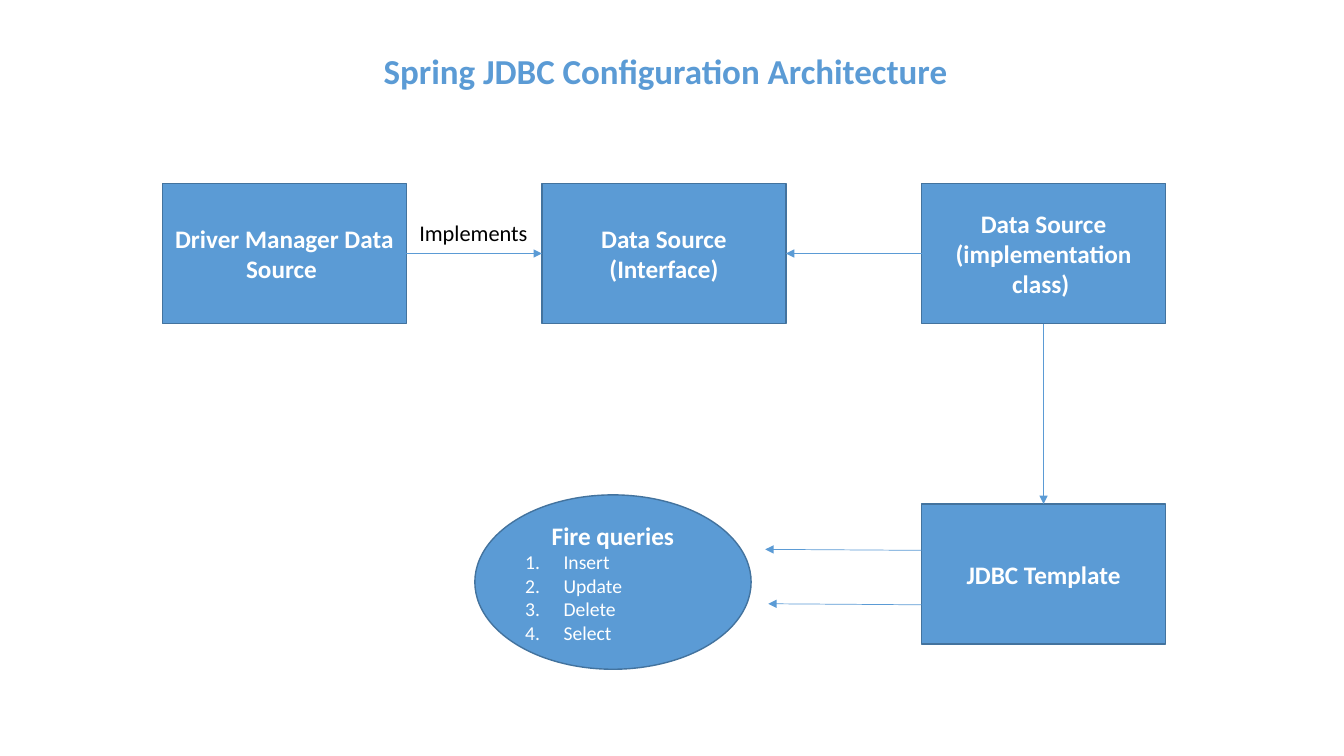
from lxml import etree
from pptx import Presentation
from pptx.dml.color import RGBColor
from pptx.enum import shapes, text
from pptx.oxml import ns
from pptx.util import Inches, Pt

BLUE = RGBColor(0x5B, 0x9B, 0xD5)
OUTLINE = RGBColor(0x43, 0x73, 0x9E)
WHITE = RGBColor(0xFF, 0xFF, 0xFF)
BLACK = RGBColor(0, 0, 0)

BOX_WIDTH, BOX_HEIGHT = 2.42, 1.39
COLUMN_STEP = 3.765


def format_paragraph(paragraph, size, color, bold=False, align=text.PP_ALIGN.CENTER):
    """Set the alignment and the font of every run."""
    paragraph.alignment = align
    for run in paragraph.runs:
        font = run.font
        font.name, font.size, font.bold = "Calibri", Pt(size), bold
        font.color.rgb = color


def add_label(slide, box, words, size, color, bold=False, wrap=True,
              align=text.PP_ALIGN.CENTER):
    """Add a text box and return its paragraph."""
    frame = slide.shapes.add_textbox(*map(Inches, box)).text_frame
    frame.word_wrap = wrap
    frame.vertical_anchor = text.MSO_ANCHOR.MIDDLE
    frame.text = words
    format_paragraph(frame.paragraphs[0], size, color, bold, align)
    return frame.paragraphs[0]


def add_node(slide, kind, box, words):
    """Add a filled, outlined shape with a bold caption."""
    shape = slide.shapes.add_shape(kind, *map(Inches, box))
    shape.shadow.inherit = False
    shape.fill.solid()
    shape.fill.fore_color.rgb = BLUE
    shape.line.color.rgb = OUTLINE
    shape.line.width = Pt(1)
    frame = shape.text_frame
    frame.word_wrap = True
    frame.vertical_anchor = text.MSO_ANCHOR.MIDDLE
    frame.text = words
    format_paragraph(frame.paragraphs[0], 18, WHITE, bold=True)
    return shape


def add_arrow(slide, start, end):
    """Add a thin straight arrow pointing at end."""
    connector = slide.shapes.add_connector(
        shapes.MSO_CONNECTOR.STRAIGHT, *map(Inches, (*start, *end)))
    connector.line.color.rgb = BLUE
    connector.line.width = Pt(0.5)
    line = connector.line._get_or_add_ln()
    etree.SubElement(line, ns.qn("a:tailEnd"), type="triangle")
    etree.SubElement(connector._element.spPr, ns.qn("a:effectLst"))


def add_title(slide, box):
    """Add the slide heading."""
    heading = add_label(slide, box, "Spring JDBC Configuration Architecture", 25, BLUE, True)
    heading.line_spacing = 0.9


def add_sources(slide, left, top):
    """Add the row of data sources, joined by arrows to the interface."""
    captions = ("Driver Manager Data Source ", "Data Source (Interface)",
                "Data Source (implementation class) ")
    lefts = [left + column * COLUMN_STEP for column in range(len(captions))]
    for box_left, caption in zip(lefts, captions):
        add_node(slide, shapes.MSO_SHAPE.RECTANGLE,
                 (box_left, top, BOX_WIDTH, BOX_HEIGHT), caption)
    middle = top + BOX_HEIGHT / 2
    add_arrow(slide, (lefts[0] + BOX_WIDTH, middle), (lefts[1], middle))
    add_arrow(slide, (lefts[2], middle), (lefts[1] + BOX_WIDTH, middle))
    add_label(slide, (left + BOX_WIDTH + 0.03, top + 0.3, 1.29, 0.37), "Implements",
              16, BLACK, wrap=False, align=text.PP_ALIGN.LEFT)


def add_template(slide, left, top, source_bottom):
    """Add the template box, the arrow into it and the two arrows out."""
    add_node(slide, shapes.MSO_SHAPE.RECTANGLE,
             (left, top, BOX_WIDTH, BOX_HEIGHT), "JDBC Template")
    center = left + BOX_WIDTH / 2
    add_arrow(slide, (center, source_bottom), (center, top))
    add_arrow(slide, (left, top + 0.46), (left - 1.55, top + 0.45))
    add_arrow(slide, (left, top + 1), (left - 1.52, top + 0.99))


def add_queries(slide, box):
    """Add the ellipse with its numbered list of queries."""
    frame = add_node(slide, shapes.MSO_SHAPE.OVAL, box, "Fire queries").text_frame
    for query in ("Insert", "Update", "Delete", "Select"):
        paragraph = frame.add_paragraph()
        paragraph.text = query
        format_paragraph(paragraph, 14, WHITE, align=text.PP_ALIGN.LEFT)
        properties = paragraph._p.get_or_add_pPr()
        indent = Inches(0.38)
        properties.set("marL", str(indent))
        properties.set("indent", str(-indent))
        etree.SubElement(properties, ns.qn("a:buFont"), typeface="+mj-lt")
        etree.SubElement(properties, ns.qn("a:buAutoNum"), type="arabicPeriod")


def build():
    """Build and save the architecture slide."""
    presentation = Presentation()
    presentation.slide_width = Inches(13.33)
    presentation.slide_height = Inches(7.5)
    slide = presentation.slides.add_slide(presentation.slide_layouts[6])
    left, top = 1.61, 1.82
    add_title(slide, (0.85, 0, 11.5, 1.45))
    add_sources(slide, left, top)
    add_template(slide, left + 2 * COLUMN_STEP, 5, top + BOX_HEIGHT)
    add_queries(slide, (4.71, 4.91, 2.74, 1.73))
    presentation.save("out.pptx")


build()
